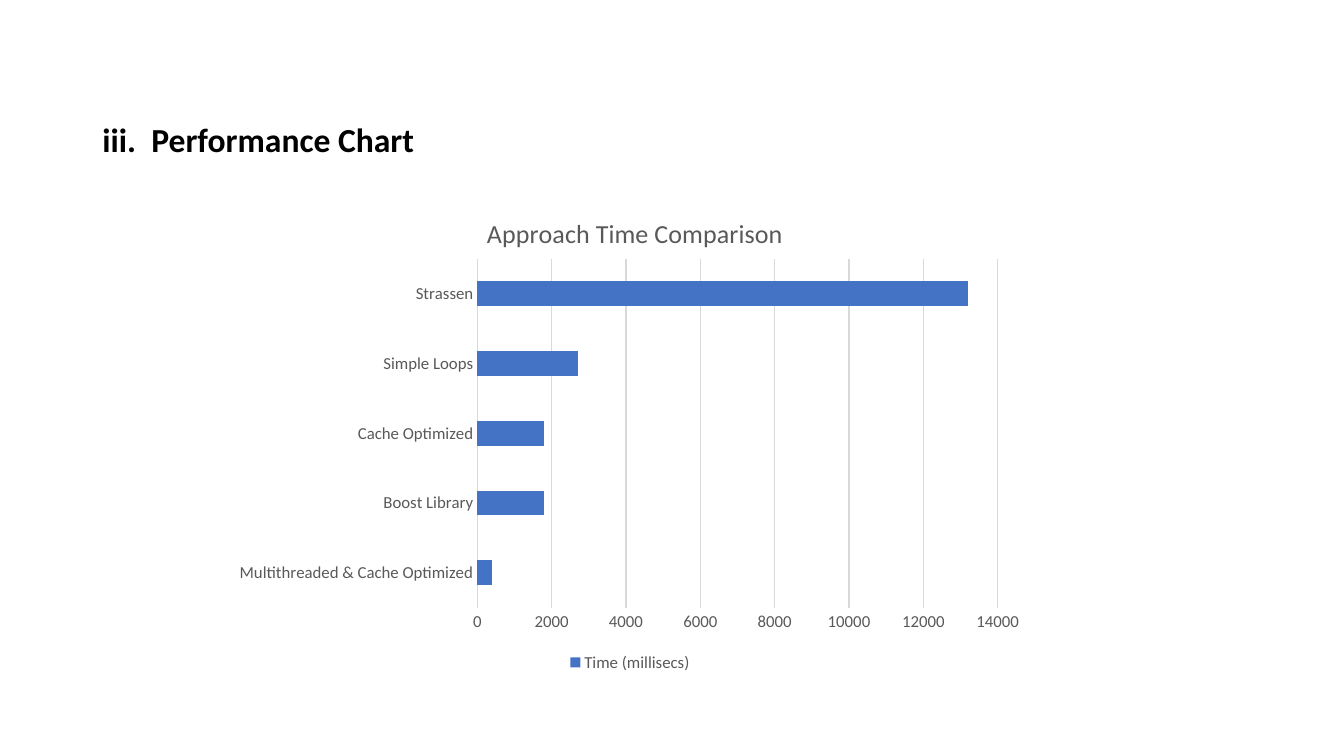
from lxml import etree
from pptx import Presentation
from pptx.chart.data import CategoryChartData
from pptx.dml.color import RGBColor
from pptx.enum.chart import XL_CHART_TYPE as ChartType
from pptx.enum.chart import XL_LEGEND_POSITION as LegendPosition
from pptx.enum.chart import XL_TICK_MARK as TickMark
from pptx.enum.text import MSO_ANCHOR as Anchor
from pptx.enum.text import PP_ALIGN as Align
from pptx.oxml.ns import qn
from pptx.util import Pt

COLORS = {"title": "000000", "label": "595959", "grid": "D9D9D9", "bar": "4472C4"}
TIMES = {
    "Multithreaded & Cache Optimized": 400,
    "Boost Library": 1800,
    "Cache Optimized": 1800,
    "Simple Loops": 2700,
    "Strassen": 13200,
}


class SlideBuilder:
    """Holds the style and the current slide."""

    font_name = "Calibri"

    def __init__(self, presentation):
        self.slide = presentation.slides.add_slide(presentation.slide_layouts[5])

    def color(self, name):
        return RGBColor.from_string(COLORS[name])

    def set_font(self, font, size, color, bold=False):
        font.name = self.font_name
        font.size = Pt(size)
        font.bold = bold
        font.color.rgb = self.color(color)

    def set_line(self, line, color):
        line.color.rgb = self.color(color)
        line.width = Pt(0.75)

    def set_layout(self, parent, **fractions):
        """Place a chart part by fractions of the chart area."""
        layout = parent.find(qn("c:layout"))
        if layout is None:
            layout = etree.Element(qn("c:layout"))
            text = parent.find(qn("c:tx"))
            parent.insert(0 if text is None else 1, layout)
        manual = etree.SubElement(layout, qn("c:manualLayout"))
        if "w" in fractions:
            etree.SubElement(manual, qn("c:layoutTarget")).set("val", "inner")
        for side in ("x", "y"):
            etree.SubElement(manual, qn(f"c:{side}Mode")).set("val", "edge")
        for name, value in fractions.items():
            etree.SubElement(manual, qn(f"c:{name}")).set("val", str(value))

    def add_title(self, text, left, top, width, height):
        title = self.slide.shapes.title
        title.left, title.top = Pt(left), Pt(top)
        title.width, title.height = Pt(width), Pt(height)
        frame = title.text_frame
        frame.text = text
        frame.word_wrap = True
        frame.vertical_anchor = Anchor.MIDDLE
        paragraph = frame.paragraphs[0]
        paragraph.alignment = Align.LEFT
        paragraph.line_spacing = 0.9
        self.set_font(paragraph.font, 24, "title", bold=True)

    def add_bar_chart(self, heading, series_name, values, left, top, width, height):
        data = CategoryChartData()
        data.categories = list(values)
        data.add_series(series_name, list(values.values()))
        chart = self.slide.shapes.add_chart(
            ChartType.BAR_CLUSTERED, Pt(left), Pt(top), Pt(width), Pt(height), data
        ).chart
        self.set_font(chart.font, 12, "label")

        # Heading and legend
        chart.has_title = True
        title = chart.chart_title
        title.text_frame.text = heading
        self.set_font(title.text_frame.paragraphs[0].font, 18.6, "label")
        title.include_in_layout = False
        self.set_layout(title._element, x=0.318, y=0.048)
        chart.has_legend = True
        chart.legend.position = LegendPosition.BOTTOM
        chart.legend.include_in_layout = False
        self.set_font(chart.legend.font, 12, "label")

        # Axes
        for axis in (chart.category_axis, chart.value_axis):
            axis.major_tick_mark = axis.minor_tick_mark = TickMark.NONE
            self.set_font(axis.tick_labels.font, 12, "label")
        self.set_line(chart.category_axis.format.line, "grid")
        value_axis = chart.value_axis
        value_axis.minimum_scale, value_axis.maximum_scale = 0, 14000
        value_axis.major_unit = 2000
        value_axis.format.line.fill.background()
        self.set_line(value_axis.major_gridlines.format.line, "grid")

        # Bars
        plot = chart.plots[0]
        plot.gap_width = 182
        plot.vary_by_categories = False
        fill = plot.series[0].format.fill
        fill.solid()
        fill.fore_color.rgb = self.color("bar")
        plot_area = chart._chartSpace.chart.plotArea
        self.set_layout(plot_area, x=0.312, y=0.148, w=0.641, h=0.712)


def main():
    presentation = Presentation()
    presentation.slide_width, presentation.slide_height = Pt(960), Pt(540)
    builder = SlideBuilder(presentation)
    builder.add_title("iii.  Performance Chart", 66, 68.4, 828, 64.8)
    builder.add_bar_chart(
        "Approach Time Comparison", "Time (millisecs)", TIMES, 160, 133.2, 580, 350
    )
    presentation.save("out.pptx")


if __name__ == "__main__":
    main()
